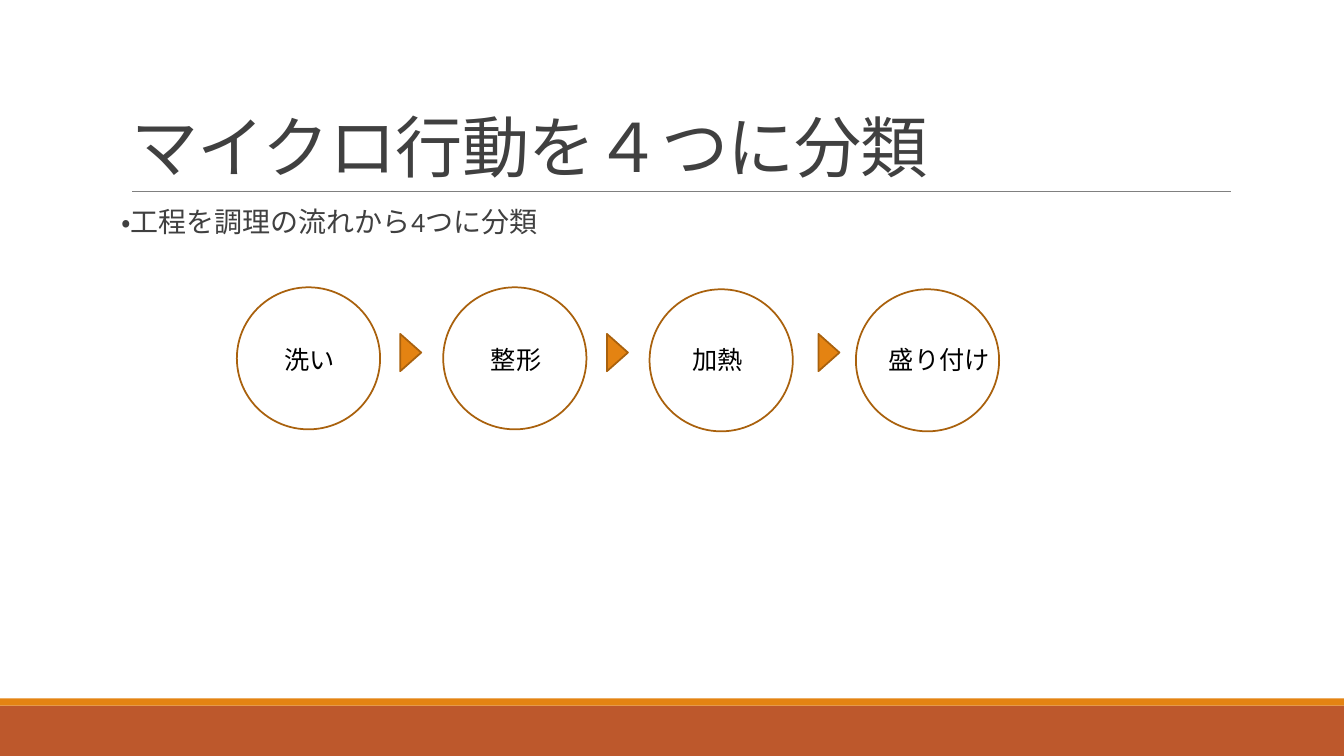
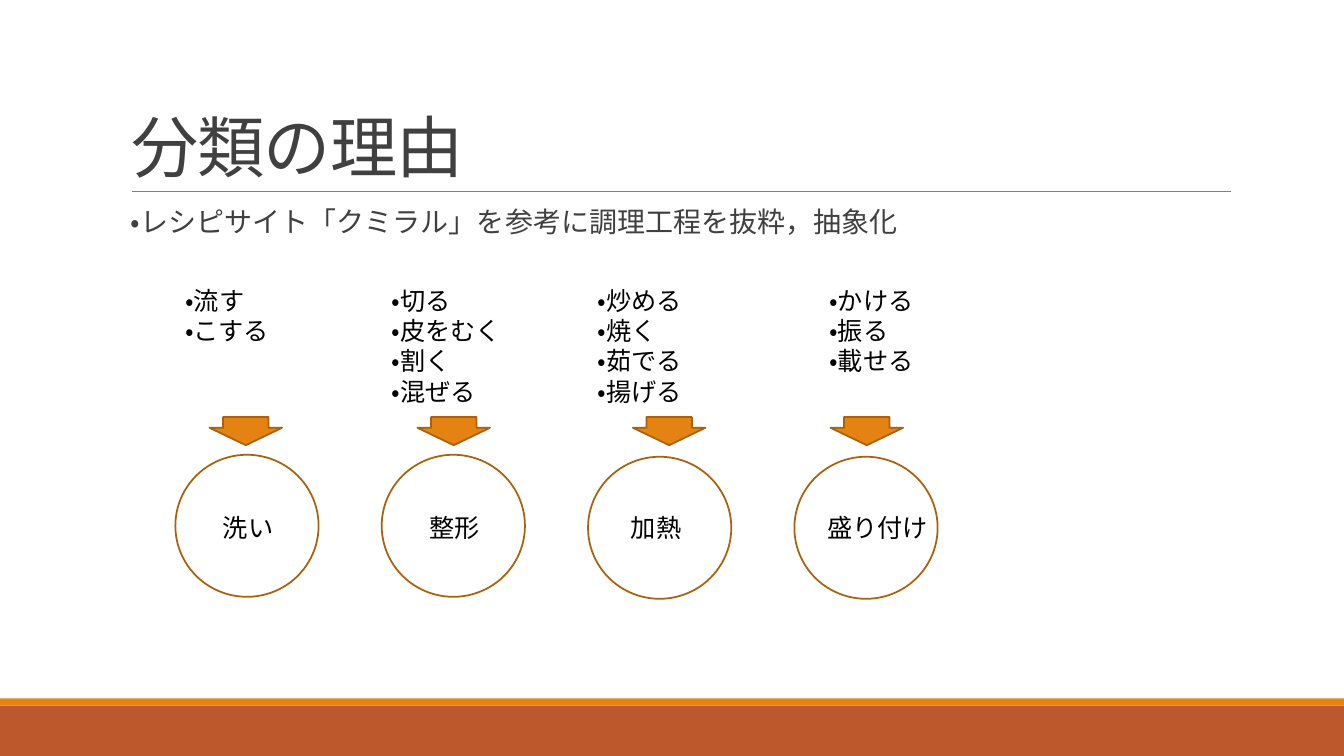
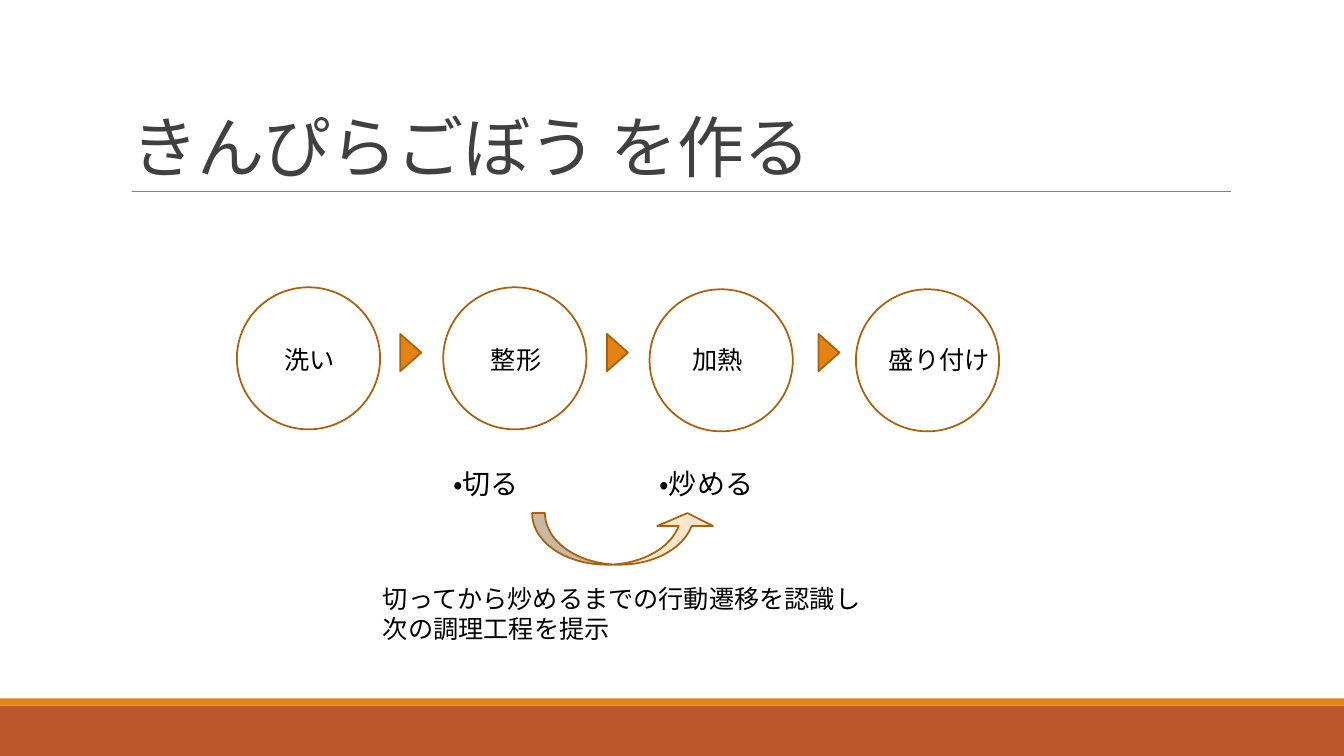
"""Build three slides on classifying cooking actions into four steps."""
from lxml import etree
from pptx import Presentation
from pptx import util as u
from pptx.dml.color import RGBColor
from pptx.enum import lang, shapes, text
from pptx.oxml.ns import qn

ORANGE = RGBColor(0xE4, 0x83, 0x12)
RUST = RGBColor(0xBD, 0x58, 0x2C)
BROWN = RGBColor(0xA9, 0x61, 0x0D)
CREAM = RGBColor(0xFB, 0xE6, 0xCE)
GRAY = RGBColor(0x80, 0x80, 0x80)
DARK = RGBColor(0x40, 0x40, 0x40)
BLACK = RGBColor(0, 0, 0)
FONT = "Calibri"

STEP_GAP = 5.2
FLOW_LEFT, FLOW_TOP = 5.97, 7.24
REASON_LEFT, REASON_TOP = 4.42, 11.46
STEPS = [
    ("洗い", 0.95, 2.5, 0),
    ("整形", 0.95, 2.4, 0),
    ("加熱", 0.83, 2.4, 0.05),
    ("盛り付け", 0.58, 3.15, 0.05),
]
ACTIONS = [
    (4.42, 5.28, ["・流す", "・こする"]),
    (9.62, 10.52, ["・切る", "・皮をむく", "・割く", "・混ぜる"]),
    (14.82, 15.95, ["・炒める", "・焼く", "・茹でる", "・揚げる"]),
    (20.65, 20.93, ["・かける", "・振る", "・載せる"]),
]


def place(shape, left, top, width, height):
    """Move and size a shape in centimetres."""
    shape.left, shape.top = u.Cm(left), u.Cm(top)
    shape.width, shape.height = u.Cm(width), u.Cm(height)


def set_font(para, size, color):
    """Format a whole paragraph."""
    para.font.name = FONT
    para.font.size = u.Pt(size)
    para.font.color.rgb = color
    para.font.language_id = lang.MSO_LANGUAGE_ID.JAPANESE


def add_shape(page, kind, left, top, width, height, fill=None, line=BROWN):
    """Add a preset shape with an optional fill and outline."""
    shape = page.shapes.add_shape(kind, u.Cm(left), u.Cm(top), u.Cm(width), u.Cm(height))
    shape.shadow.inherit = False
    if fill is None:
        shape.fill.background()
    else:
        shape.fill.solid()
        shape.fill.fore_color.rgb = fill
    if line is None:
        shape.line.fill.background()
    else:
        shape.line.color.rgb = line
        shape.line.width = u.Pt(1.25)
    return shape


def add_text(page, lines, left, top, width, size=18):
    """Add a text box with one paragraph per line."""
    height = 0.28 + len(lines) * size * 0.042
    box = page.shapes.add_textbox(u.Cm(left), u.Cm(top), u.Cm(width), u.Cm(height))
    frame = box.text_frame
    frame.word_wrap = True
    frame.auto_size = text.MSO_AUTO_SIZE.SHAPE_TO_FIT_TEXT
    frame.text = "\n".join(lines)
    for para in frame.paragraphs:
        set_font(para, size, BLACK)


def add_rule(page):
    """Add the thin line under the title."""
    rule = page.shapes.add_connector(
        shapes.MSO_CONNECTOR.STRAIGHT, u.Cm(3.33), u.Cm(4.83), u.Cm(31.01), u.Cm(4.83))
    rule.line.color.rgb = GRAY
    rule.line.width = u.Pt(0.5)
    etree.SubElement(rule.element.spPr, qn("a:effectLst"))
    return rule


def decorate_master(deck, page):
    """Put the bottom bands and the title rule on the slide master."""
    rectangle = shapes.MSO_SHAPE.RECTANGLE
    parts = [
        add_shape(page, rectangle, 0, 17.78, 33.87, 1.27, RUST, None),
        add_shape(page, rectangle, 0, 17.6, 33.87, 0.18, ORANGE, None),
        add_rule(page),
    ]
    for number, part in enumerate(parts, 100):
        part.element.xpath(".//p:cNvPr")[0].set("id", str(number))
        deck.slide_master.shapes.element.append(part.element)


def fill_title(page, words):
    """Fill and format the title placeholder."""
    title = page.shapes.title
    place(title, 3.05, 0.79, 27.94, 4.04)
    frame = title.text_frame
    frame.auto_size = text.MSO_AUTO_SIZE.NONE
    frame.vertical_anchor = text.MSO_ANCHOR.BOTTOM
    frame.text = words
    para = frame.paragraphs[0]
    para.alignment = text.PP_ALIGN.LEFT
    para.line_spacing = 0.85
    set_font(para, 48, DARK)
    para.font._element.set("spc", "-50")


def fill_body(page, words, indent=0):
    """Fill and format the body placeholder, without an automatic bullet."""
    body = page.placeholders[1]
    place(body, 3.05, 5.13, 27.94, 11.18)
    frame = body.text_frame
    frame.auto_size = text.MSO_AUTO_SIZE.NONE
    frame.margin_left = frame.margin_right = 0
    frame.text = words
    para = frame.paragraphs[0]
    properties = para._p.get_or_add_pPr()
    properties.set("marL", str(u.Cm(indent)))
    properties.set("indent", "0")
    etree.SubElement(properties, qn("a:buNone"))
    para.line_spacing = 0.9
    para.space_before, para.space_after = u.Pt(12), u.Pt(2)
    set_font(para, 20, DARK)


def add_steps(page, left, top):
    """Add the four labelled circles."""
    for index, (label, inset, width, drop) in enumerate(STEPS):
        x = left + index * STEP_GAP
        add_shape(page, shapes.MSO_SHAPE.OVAL, x, top + drop, 3.61, 3.58)
        add_text(page, [label], x + inset, top + 1.32, width)


def add_flow(page):
    """Add the circles with triangles pointing to the next step."""
    add_steps(page, FLOW_LEFT, FLOW_TOP)
    for left in (9.88, 15.09, 20.42):
        triangle = add_shape(
            page, shapes.MSO_SHAPE.ISOSCELES_TRIANGLE, left, 8.62, 0.94, 0.53, ORANGE)
        triangle.rotation = 90


def add_actions(page):
    """Add the action lists with arrows down to their steps."""
    for text_left, arrow_left, lines in ACTIONS:
        add_text(page, lines, text_left, 7.06, 4.22)
        arrow = add_shape(
            page, shapes.MSO_SHAPE.DOWN_ARROW, arrow_left, 10.51, 1.83, 0.71, ORANGE)
        arrow.adjustments[0], arrow.adjustments[1] = 0.627, 0.619


def add_transition(page):
    """Add the curved arrow between two actions and its explanation."""
    for index, action in enumerate(["・切る", "・炒める"], 1):
        add_text(page, [action], FLOW_LEFT + index * STEP_GAP, 11.63, 4.14, 20)
    arrow = add_shape(
        page, shapes.MSO_SHAPE.CURVED_UP_ARROW, 13.41, 12.93, 4.62, 1.3, CREAM)
    for index, value in enumerate((0.25, 1.082, 0.25)):
        arrow.adjustments[index] = value
    lines = ["切ってから炒めるまでの行動遷移を認識し", "次の調理工程を提示"]
    add_text(page, lines, 9.4, 14.58, 15.7)


def main():
    """Build and save the deck."""
    deck = Presentation()
    deck.slide_width, deck.slide_height = u.Cm(33.87), u.Cm(19.05)
    content, title_only = deck.slide_layouts[1], deck.slide_layouts[5]

    page = deck.slides.add_slide(content)
    decorate_master(deck, page)
    fill_title(page, "マイクロ行動を４つに分類")
    fill_body(page, "・工程を調理の流れから4つに分類")
    add_flow(page)

    page = deck.slides.add_slide(content)
    fill_title(page, "分類の理由")
    fill_body(page, "・レシピサイト「クミラル」を参考に調理工程を抜粋，抽象化", 0.25)
    add_steps(page, REASON_LEFT, REASON_TOP)
    add_actions(page)

    page = deck.slides.add_slide(title_only)
    fill_title(page, "きんぴらごぼう を作る")
    add_flow(page)
    add_transition(page)

    deck.save("out.pptx")


if __name__ == "__main__":
    main()
